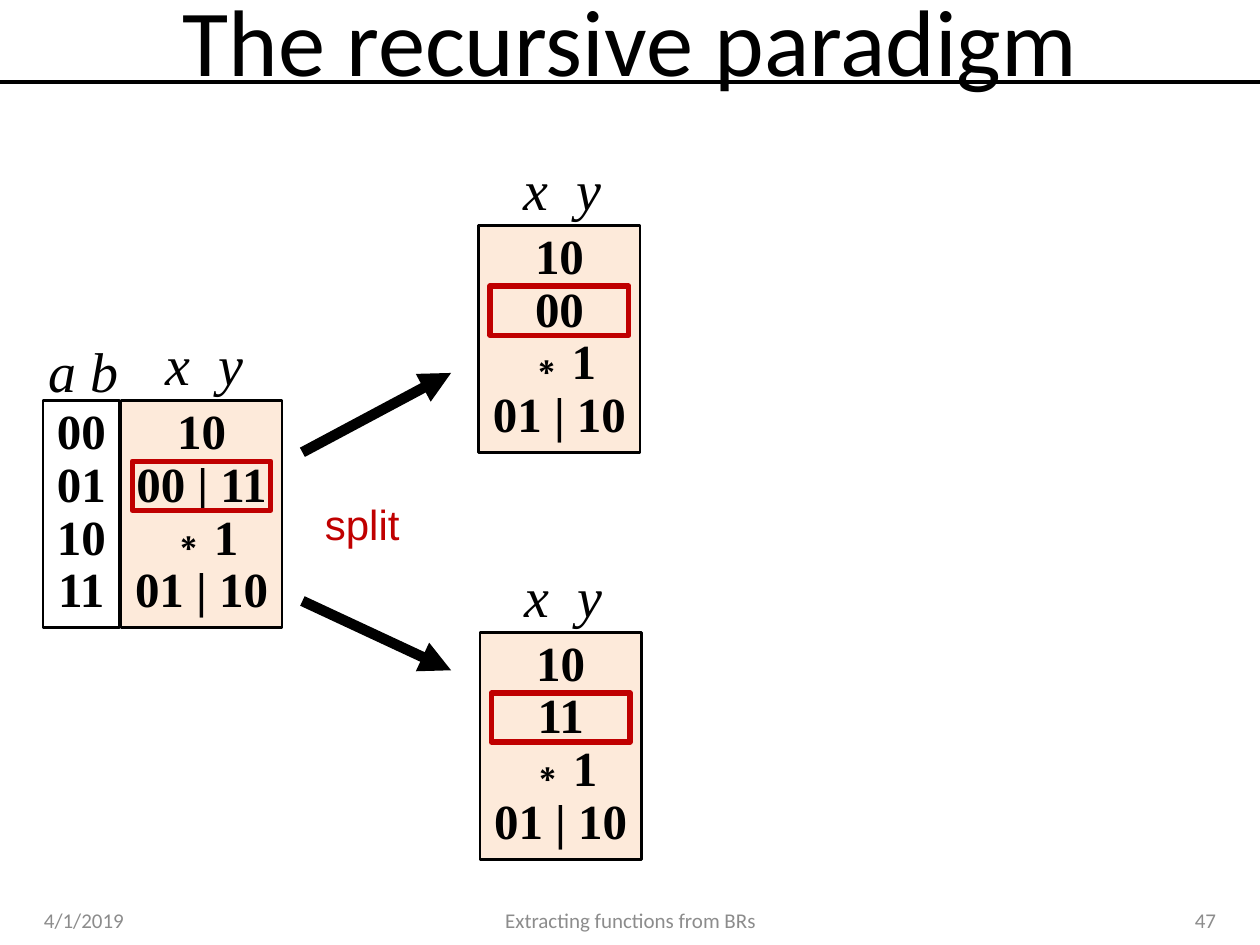
from pptx import Presentation
from pptx import util as u
from pptx.dml.color import RGBColor
from pptx.enum import shapes, text
from pptx.oxml.ns import qn
from lxml import etree

WIDTH, HEIGHT = 10, 7.5
COLORS = {"ink": "000000", "output": "FDEADA", "accent": "C00000", "footer": "8C8C8C"}
SERIF = "Times New Roman"
LEFT, CENTER, RIGHT = text.PP_ALIGN.LEFT, text.PP_ALIGN.CENTER, text.PP_ALIGN.RIGHT
TABLE_HEIGHT, INPUT_WIDTH, OUTPUT_WIDTH = 1.8, 0.61, 1.28


def color(name):
    return RGBColor.from_string(COLORS[name])


def write(shape, lines, size, font, ink="ink", align=CENTER, spacing=None,
          bold=False, italic=False, anchor=text.MSO_ANCHOR.TOP, wrap=False):
    """Put one paragraph per line into the shape."""
    frame = shape.text_frame
    frame.word_wrap = wrap
    frame.vertical_anchor = anchor
    for index, line in enumerate(lines):
        paragraph = frame.add_paragraph() if index else frame.paragraphs[0]
        paragraph.alignment = align
        if spacing:
            paragraph.line_spacing = spacing
        run = paragraph.add_run()
        run.text = line
        run.font.size = u.Pt(size)
        run.font.name = font
        run.font.bold = bold
        run.font.italic = italic
        run.font.color.rgb = color(ink)


def add_label(slide, box, line, size, font, **style):
    shape = slide.shapes.add_textbox(*map(u.Inches, box))
    write(shape, [line], size, font, **style)


def add_box(slide, box, line, width, fill=None):
    shape = slide.shapes.add_shape(shapes.MSO_SHAPE.RECTANGLE, *map(u.Inches, box))
    shape.shadow.inherit = False
    if fill:
        shape.fill.solid()
        shape.fill.fore_color.rgb = color(fill)
    else:
        shape.fill.background()
    shape.line.color.rgb = color(line)
    shape.line.width = u.Pt(width)
    return shape


def add_column(slide, left, top, width, rows, fill=None):
    """A framed column of bit patterns."""
    shape = add_box(slide, (left, top, width, TABLE_HEIGHT), "ink", 1.5, fill)
    write(shape, rows, 28, SERIF, spacing=0.9, bold=True)


def add_output(slide, left, top, second_row):
    """Output column with its heading and the marked second row."""
    rows = ["10", second_row, "∗1", "01 | 10"]
    add_column(slide, left, top, OUTPUT_WIDTH, rows, "output")
    add_label(slide, (left + 0.25, top - 0.61, 0.83, 0.64), "x  y", 32, SERIF, italic=True)
    add_box(slide, (left + 0.09, top + 0.48, 1.1, 0.39), "accent", 3)


def add_line(slide, start, end, width, arrow=False):
    line = slide.shapes.add_connector(
        shapes.MSO_CONNECTOR.STRAIGHT, *map(u.Inches, start + end))
    line.line.color.rgb = color("ink")
    line.line.width = u.Pt(width)
    if arrow:
        etree.SubElement(line.line._get_or_add_ln(), qn("a:tailEnd"), type="triangle")
    etree.SubElement(line._element.spPr, qn("a:effectLst"))


def add_title(slide, line):
    title = slide.shapes.title
    title.left, title.top, title.width, title.height = map(
        u.Inches, (0.05 * WIDTH, -0.02, 0.9 * WIDTH, 0.65))
    write(title, [line], 54, "Calibri", anchor=text.MSO_ANCHOR.MIDDLE, wrap=True)


def add_footer(slide):
    for left, width, line, align in (
            (0.25, 2.92, "4/1/2019", LEFT),
            (3.42, 3.17, "Extracting functions from BRs", CENTER),
            (7.42, 2.33, "47", RIGHT)):
        add_label(slide, (left, 7.1, width, 0.4), line, 12, "Calibri", ink="footer",
                  align=align, anchor=text.MSO_ANCHOR.MIDDLE, wrap=True)


def main():
    presentation = Presentation()
    presentation.slide_width = u.Inches(WIDTH)
    presentation.slide_height = u.Inches(HEIGHT)
    slide = presentation.slides.add_slide(presentation.slide_layouts[5])

    # Title, rule and footer
    add_line(slide, (0, 0.65), (WIDTH, 0.65), 2)
    add_title(slide, "The recursive paradigm")
    add_footer(slide)

    # Relation to be split
    add_column(slide, 0.34, 3.18, INPUT_WIDTH, ["00", "01", "10", "11"])
    add_label(slide, (0.28, 2.62, 0.76, 0.63), "a b", 32, SERIF, italic=True)
    add_output(slide, 0.96, 3.18, "00 | 11")

    # The two results
    add_output(slide, 3.8, 1.79, "00")
    add_output(slide, 3.81, 5.02, "11")

    # Split arrows
    add_line(slide, (2.4, 3.59), (3.58, 2.96), 6, arrow=True)
    add_line(slide, (2.4, 4.77), (3.58, 5.32), 6, arrow=True)
    add_label(slide, (2.48, 3.91, 0.8, 0.5), "split", 24, "Arial", ink="accent", align=LEFT)

    presentation.save("out.pptx")


if __name__ == "__main__":
    main()
